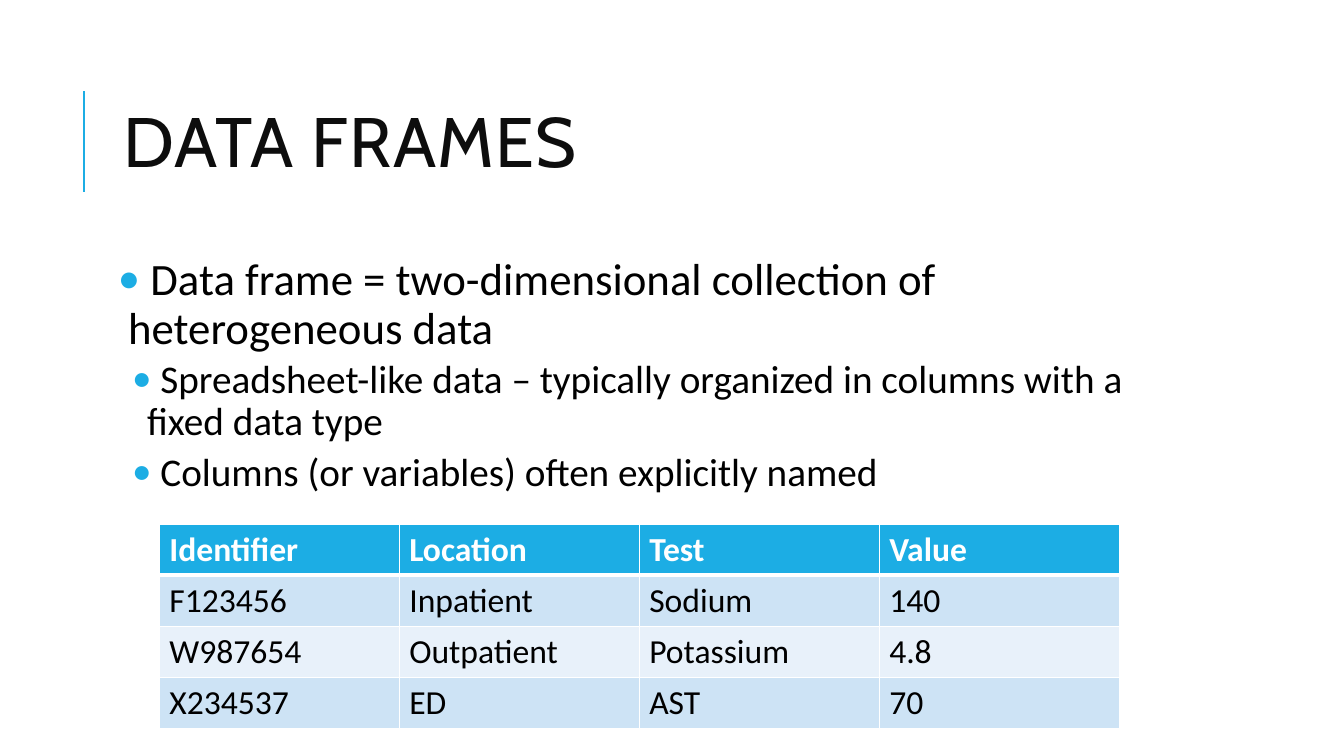
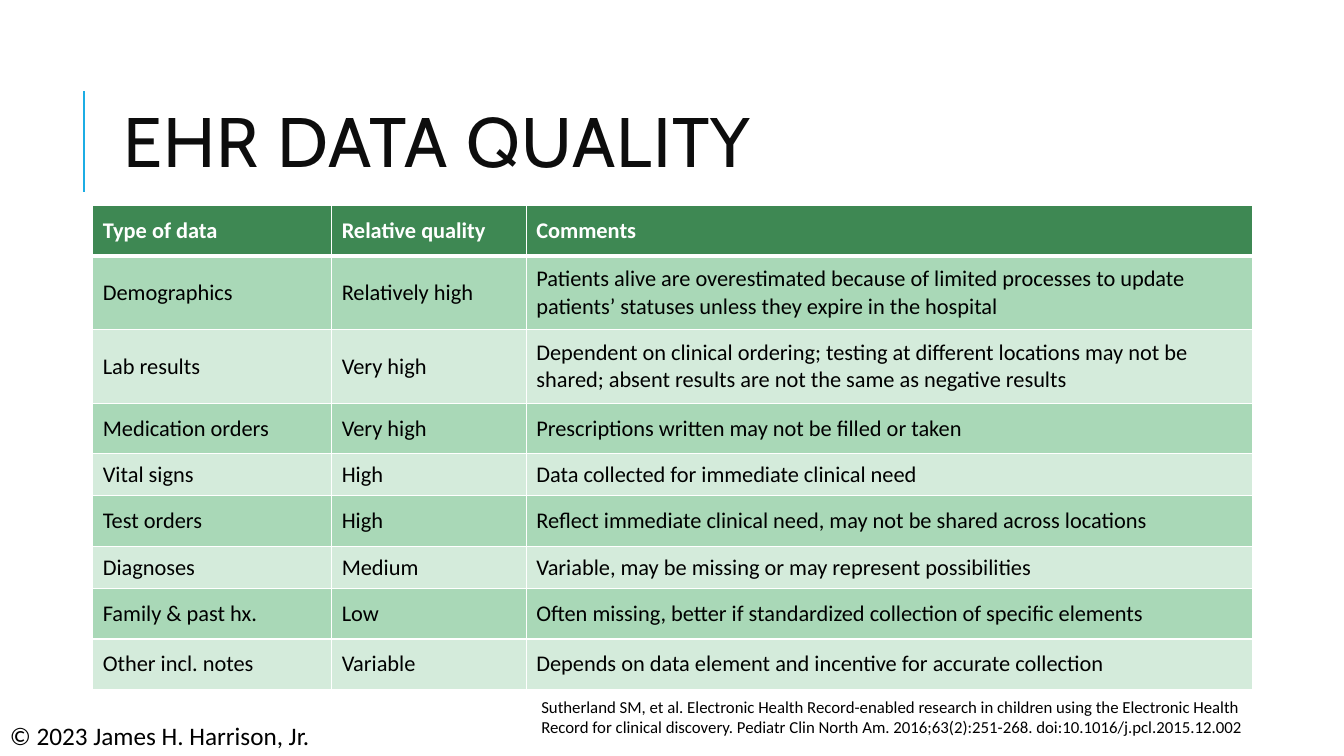
from lxml.etree import SubElement
from pptx import Presentation
from pptx.dml.color import RGBColor
from pptx.enum.shapes import MSO_CONNECTOR
from pptx.enum.text import MSO_ANCHOR, MSO_AUTO_SIZE, PP_ALIGN
from pptx.oxml.ns import qn
from pptx.util import Inches, Pt

COLORS = {
    "accent": "1CADE4", "title": "0D0D0D", "text": "000000", "white": "FFFFFF",
    "blue band": "CDE3F5", "blue light": "E8F1FA",
    "green": "3E8853", "green band": "A9D8B7", "green light": "D4EBDB",
}
TITLE_FONT, BODY_FONT = "Cabin", "Calibri"
TITLE_ONLY, TITLE_AND_BODY = 5, 1
# Per list level: size, left margin, hanging indent, space before, space after
LEVELS = [(32, 0.1, 0.1, 12, 2), (28, 0.29, 0.15, 2, 4)]


def rgb(name):
    return RGBColor.from_string(COLORS[name])


def place(shape, left, top, width, height):
    shape.left, shape.top = Inches(left), Inches(top)
    shape.width, shape.height = Inches(width), Inches(height)


def add_run(paragraph, text, size, color="text", font=BODY_FONT, bold=False):
    run = paragraph.add_run()
    run.text = text
    run.font.size, run.font.name, run.font.bold = Pt(size), font, bold
    run.font.color.rgb = rgb(color)
    return run


def add_bullet(paragraph, margin, hanging):
    properties = paragraph._p.get_or_add_pPr()
    properties.set("marL", str(Inches(margin)))
    properties.set("indent", str(-Inches(hanging)))
    bullet_color = SubElement(properties, qn("a:buClr"))
    SubElement(bullet_color, qn("a:srgbClr"), val=COLORS["accent"])
    SubElement(properties, qn("a:buFont"), typeface=BODY_FONT)
    SubElement(properties, qn("a:buChar"), char="•")


def add_borders(cell, top, bottom):
    """Draw white cell edges; top and bottom are widths in points."""
    properties = cell._tc.get_or_add_tcPr()
    for side, width in (("L", 1), ("R", 1), ("T", top), ("B", bottom)):
        edge = SubElement(properties, qn(f"a:ln{side}"), w=str(Pt(width)))
        fill = SubElement(edge, qn("a:solidFill"))
        SubElement(fill, qn("a:srgbClr"), val=COLORS["white"])


class Deck:
    def __init__(self):
        self.presentation = Presentation()
        self.presentation.slide_width = Inches(13.33)
        self.presentation.slide_height = Inches(7.5)
        self.slide = None

    def add_slide(self, title, layout):
        self.slide = self.presentation.slides.add_slide(
            self.presentation.slide_layouts[layout])
        rule = self.slide.shapes.add_connector(
            MSO_CONNECTOR.STRAIGHT, Inches(0.83), Inches(1.9), Inches(0.83), Inches(0.9))
        rule.line.color.rgb = rgb("accent")
        rule.line.width = Pt(1.5)
        SubElement(rule._element.spPr, qn("a:effectLst"))

        heading = self.slide.shapes.title
        place(heading, 1.12, 0.64, 10.63, 1.64)
        frame = heading.text_frame
        frame.auto_size = MSO_AUTO_SIZE.NONE
        frame.vertical_anchor = MSO_ANCHOR.MIDDLE
        paragraph = frame.paragraphs[0]
        paragraph.alignment = PP_ALIGN.LEFT
        paragraph.line_spacing = 0.8
        run = add_run(paragraph, title, 50, "title", TITLE_FONT)
        run.font._element.set("spc", "100")

    def add_list(self, items):
        """Fill the body placeholder with (level, text) items."""
        body = self.slide.placeholders[1]
        place(body, 1.12, 2.5, 10.63, 4.4)
        frame = body.text_frame
        frame.auto_size = MSO_AUTO_SIZE.NONE
        frame.margin_left = frame.margin_right = Inches(0.05)
        frame.margin_top = frame.margin_bottom = Inches(0.05)
        for index, (level, text) in enumerate(items):
            paragraph = frame.add_paragraph() if index else frame.paragraphs[0]
            size, margin, hanging, before, after = LEVELS[level]
            paragraph.level = level
            add_bullet(paragraph, margin, hanging)
            paragraph.line_spacing = 0.9
            paragraph.space_before = Pt(before if index else 0)
            paragraph.space_after = Pt(after)
            add_run(paragraph, text, size)

    def add_table(self, left, top, widths, heights, rows, size, fills,
                  anchor=MSO_ANCHOR.TOP):
        """Add a table; fills names the header, odd row and even row colours."""
        header_fill, *band_fills = fills
        table = self.slide.shapes.add_table(
            len(rows), len(widths), Inches(left), Inches(top),
            Inches(sum(widths)), Inches(sum(heights))).table
        table.horz_banding = False
        for column, width in zip(table.columns, widths):
            column.width = Inches(width)
        for r, (texts, height) in enumerate(zip(rows, heights)):
            table.rows[r].height = Inches(height)
            is_header = r == 0
            for c, text in enumerate(texts):
                cell = table.cell(r, c)
                add_borders(cell, 3 if r == 1 else 1, 3 if is_header else 1)
                cell.fill.solid()
                cell.fill.fore_color.rgb = rgb(
                    header_fill if is_header else band_fills[(r - 1) % 2])
                cell.vertical_anchor = anchor
                add_run(cell.text_frame.paragraphs[0], text, size,
                        "white" if is_header else "text", bold=is_header)

    def add_note(self, text, left, top, width, height, size, wrap=True):
        box = self.slide.shapes.add_textbox(
            Inches(left), Inches(top), Inches(width), Inches(height))
        box.text_frame.word_wrap = wrap
        box.text_frame.auto_size = MSO_AUTO_SIZE.SHAPE_TO_FIT_TEXT
        add_run(box.text_frame.paragraphs[0], text, size)


def main():
    deck = Deck()

    deck.add_slide("DATA FRAMES", TITLE_AND_BODY)
    deck.add_list([
        (0, " Data frame = two-dimensional collection of heterogeneous data"),
        (1, " Spreadsheet-like data – typically organized in columns with a fixed data type"),
        (1, " Columns (or variables) often explicitly named"),
    ])
    lab_values = [
        ("Identifier", "Location", "Test", "Value"),
        ("F123456", "Inpatient", "Sodium", "140"),
        ("W987654", "Outpatient", "Potassium", "4.8"),
        ("X234537", "ED", "AST", "70"),
    ]
    deck.add_table(1.58, 5.2, [2.38] * 4, [0.5] * 4, lab_values, 24,
                   ("accent", "blue band", "blue light"))

    deck.add_slide("EHR DATA QUALITY", TITLE_ONLY)
    data_quality = [
        ("Type of data", "Relative quality", "Comments"),
        ("Demographics", "Relatively high",
         "Patients alive are overestimated because of limited processes to update "
         "patients’ statuses unless they expire in the hospital"),
        ("Lab results", "Very high",
         "Dependent on clinical ordering; testing at different locations may not be "
         "shared; absent results are not the same as negative results"),
        ("Medication orders", "Very high", "Prescriptions written may not be filled or taken"),
        ("Vital signs", "High", "Data collected for immediate clinical need"),
        ("Test orders", "High",
         "Reflect immediate clinical need, may not be shared across locations"),
        ("Diagnoses", "Medium", "Variable, may be missing or may represent possibilities"),
        ("Family & past hx.", "Low",
         "Often missing, better if standardized collection of specific elements"),
        ("Other incl. notes", "Variable",
         "Depends on data element and incentive for accurate collection"),
    ]
    row_heights = [0.5, 0.73, 0.73, 0.5, 0.42, 0.5, 0.42, 0.5, 0.5]
    deck.add_table(0.92, 2.04, [2.37, 1.93, 7.2], row_heights, data_quality, 16,
                   ("green", "green band", "green light"), MSO_ANCHOR.MIDDLE)
    deck.add_note(
        "Sutherland SM, et al. Electronic Health Record-enabled research in children "
        "using the Electronic Health Record for clinical discovery. Pediatr Clin North "
        "Am. 2016;63(2):251-268. doi:10.1016/j.pcl.2015.12.002",
        5.27, 6.86, 7.29, 0.5, 12)
    deck.add_note("© 2023 James H. Harrison, Jr.", 0, 7.1, 3.21, 0.4, 18, wrap=False)

    deck.presentation.save("out.pptx")


if __name__ == "__main__":
    main()
